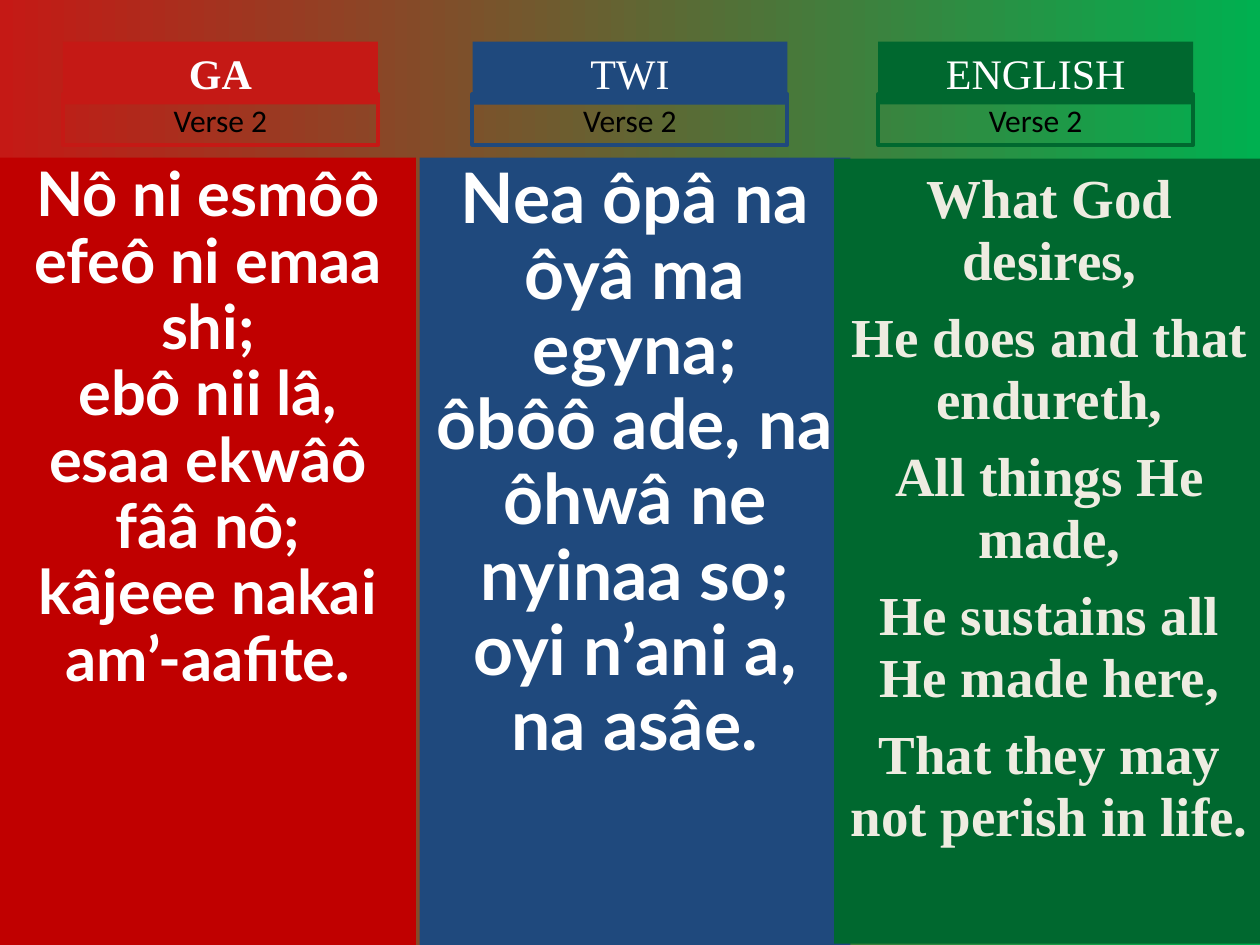
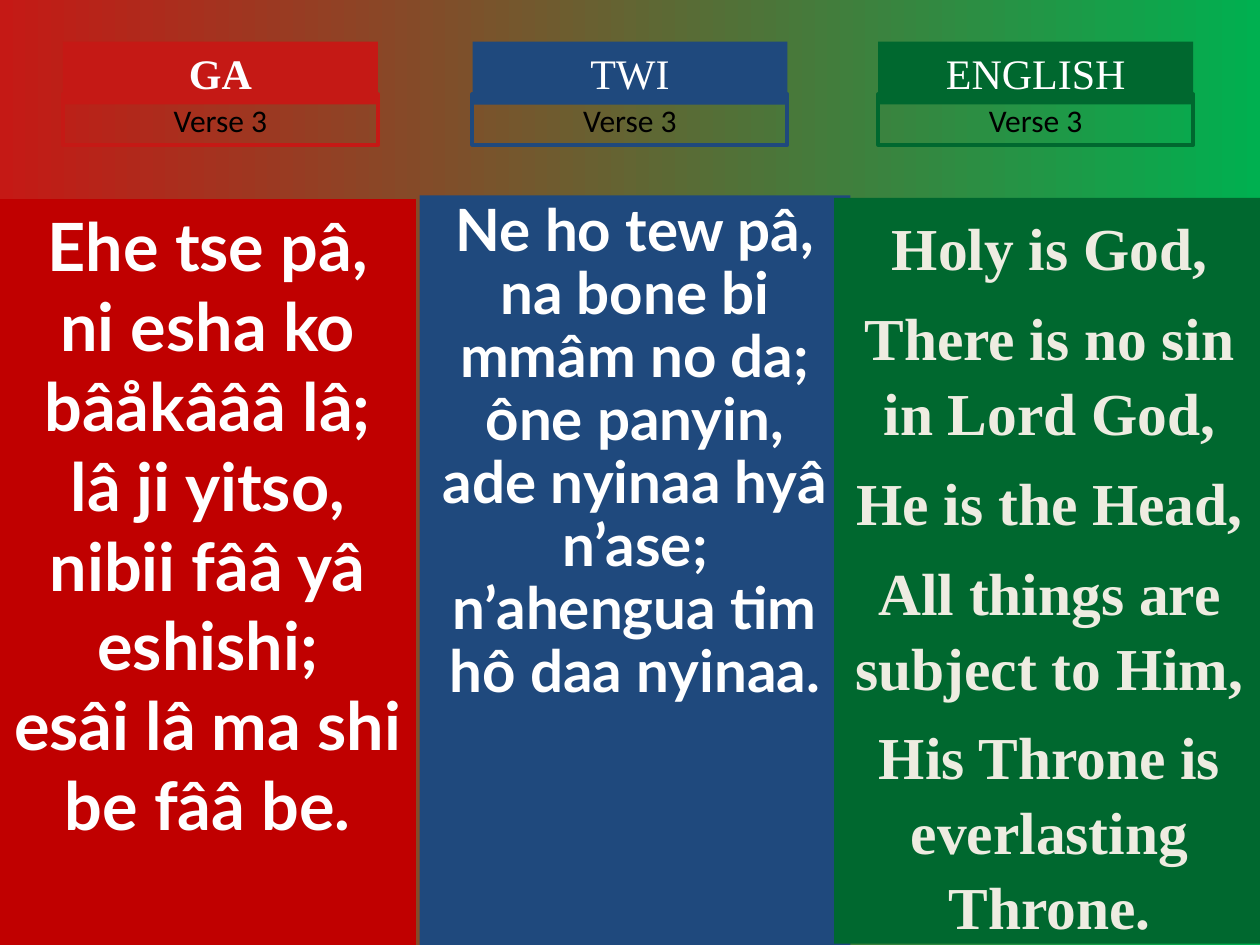
"""Build two hymn slides that set each verse in Ga, Twi and English side by side."""
import dataclasses

import pptx
import pptx.dml.color
import pptx.enum.shapes
import pptx.enum.text
import pptx.oxml.ns
import pptx.util


@dataclasses.dataclass(frozen=True)
class Theme:
    """Colours, fonts, type sizes and shared lengths."""
    backdrop: tuple = ("C51915", "00B050")
    white: str = "FFFFFF"
    black: str = "000000"
    cream: str = "EEECE1"
    heading_font: str = "Times New Roman"
    verse_font: str = "Calibri"
    lyric_font: str = "Lato"
    heading_size: float = 24
    verse_size: float = 18
    frame_width: float = 2.25
    heading_top: float = 0.33
    heading_height: float = 0.5
    verse_top: float = 0.75
    verse_height: float = 0.4
    label_width: float = 2.5
    inset: float = 0.05


THEME = Theme()
WIDTH, HEIGHT = 10, 7.5
COMPARISON_LAYOUT = 4

LANGUAGES = [
    dict(name="GA", bold=True, label="C51915", panel="C00000", label_left=0.5,
         left=0, width=3.3, bottom=HEIGHT, font=THEME.lyric_font,
         ink=THEME.white, gap=0, inset=THEME.inset),
    dict(name="TWI", bold=False, label="1F497D", panel="1F497D", label_left=3.75,
         left=3.33, width=3.42, bottom=HEIGHT, font=THEME.lyric_font,
         ink=THEME.white, gap=0, inset=THEME.inset),
    dict(name="ENGLISH", bold=False, label="00682F", panel="00682F", label_left=6.97,
         left=6.62, width=3.42, bottom=7.49, font=THEME.heading_font,
         ink=THEME.cream, gap=8.5, inset=0.08),
]

VERSES = [
    ("Verse 2", [
        dict(top=1.25, size=35.1, spacing=0.9, lines=[
            "Nô ni esmôô efeô ni emaa shi;",
            "ebô nii lâ, esaa ekwâô fââ nô;",
            "kâjeee nakai am’-aafite."]),
        dict(top=1.25, size=39.8, spacing=0.9, lines=[
            "Nea ôpâ na ôyâ ma egyna;",
            "ôbôô ade, na ôhwâ ne nyinaa so;",
            "oyi n’ani a, na asâe."]),
        dict(top=1.26, size=31.4, spacing=0.94, lines=[
            "What God desires,",
            "He does and that endureth,",
            "All things He made,",
            "He sustains all He made here,",
            "That they may not perish in life."]),
    ]),
    ("Verse 3", [
        dict(top=1.58, size=38, spacing=1.0, lines=[
            "Ehe tse pâ, ni esha ko bâåkâââ lâ;",
            "lâ ji yitso, nibii fââ yâ eshishi;",
            "esâi lâ ma shi be fââ be."]),
        dict(top=1.55, size=33.3, spacing=0.9, lines=[
            "Ne ho tew pâ, na bone bi mmâm no da;",
            "ône panyin, ade nyinaa hyâ n’ase;",
            "n’ahengua tim hô daa nyinaa."]),
        dict(top=1.57, size=34, spacing=1.05, lines=[
            "Holy is God,",
            "There is no sin in Lord God,",
            "He is the Head,",
            "All things are subject to Him,",
            "His Throne is everlasting Throne."]),
    ]),
]


def rgb(value):
    """Return a colour from its hex code."""
    return pptx.dml.color.RGBColor.from_string(value)


def place(part, left, top, width, height, fill=None, frame=None):
    """Position a part and paint its fill and frame."""
    part.left, part.top, part.width, part.height = map(
        pptx.util.Inches, (left, top, width, height))
    part.shadow.inherit = False
    if fill:
        part.fill.solid()
        part.fill.fore_color.rgb = rgb(fill)
    else:
        part.fill.background()
    if frame:
        part.line.color.rgb = rgb(frame)
        part.line.width = pptx.util.Pt(THEME.frame_width)
    else:
        part.line.fill.background()


def write(part, lines, font, size, ink, bold=False, spacing=1.0, gap=0, inset=THEME.inset):
    """Write centred, unbulleted lines from the top of a part."""
    frame = part.text_frame
    frame.word_wrap = True
    frame.auto_size = pptx.enum.text.MSO_AUTO_SIZE.NONE
    frame.vertical_anchor = pptx.enum.text.MSO_ANCHOR.TOP
    frame.margin_left = frame.margin_right = pptx.util.Inches(0.1)
    frame.margin_top = pptx.util.Inches(inset)
    frame.margin_bottom = pptx.util.Inches(THEME.inset)
    for number, line in enumerate(lines):
        paragraph = frame.add_paragraph() if number else frame.paragraphs[0]
        properties = paragraph._p.get_or_add_pPr()
        properties.set("marL", "0")
        properties.set("indent", "0")
        properties.append(properties.makeelement(pptx.oxml.ns.qn("a:buNone"), {}))
        paragraph.alignment = pptx.enum.text.PP_ALIGN.CENTER
        paragraph.line_spacing = spacing
        paragraph.space_before = pptx.util.Pt(gap if number else 0)
        run = paragraph.add_run()
        run.text = line
        run.font.name, run.font.size = font, pptx.util.Pt(size)
        run.font.bold = bold
        run.font.color.rgb = rgb(ink)


def add_rectangle(slide):
    """Add a plain rectangle to be placed later."""
    return slide.shapes.add_shape(pptx.enum.shapes.MSO_SHAPE.RECTANGLE, 0, 0, 0, 0)


def paint_backdrop(slide):
    """Fill the slide with the red to green gradient."""
    fill = slide.background.fill
    fill.gradient()
    fill.gradient_angle = 0
    for stop, position, colour in zip(fill.gradient_stops, (0, 1), THEME.backdrop):
        stop.position = position
        stop.color.rgb = rgb(colour)


def add_verse(deck, verse, lyrics):
    """Add one slide with a heading, verse label and lyric panel per language."""
    slide = deck.slides.add_slide(deck.slide_layouts[COMPARISON_LAYOUT])
    paint_backdrop(slide)
    title, *panels, spare = slide.placeholders
    spare.element.getparent().remove(spare.element)
    for language, lyric, panel in zip(LANGUAGES, lyrics, panels):
        place(panel, language["left"], lyric["top"], language["width"],
              language["bottom"] - lyric["top"], fill=language["panel"])
        write(panel, lyric["lines"], language["font"], lyric["size"], language["ink"],
              True, lyric["spacing"], language["gap"], language["inset"])

        heading = title if language["name"] == "TWI" else add_rectangle(slide)
        place(heading, language["label_left"], THEME.heading_top, THEME.label_width,
              THEME.heading_height, fill=language["label"])
        write(heading, [language["name"]], THEME.heading_font, THEME.heading_size,
              THEME.white, language["bold"])

        verse_label = add_rectangle(slide)
        place(verse_label, language["label_left"], THEME.verse_top, THEME.label_width,
              THEME.verse_height, frame=language["label"])
        write(verse_label, [verse], THEME.verse_font, THEME.verse_size, THEME.black)


def main():
    """Build and save the deck."""
    deck = pptx.Presentation()
    deck.slide_width = pptx.util.Inches(WIDTH)
    deck.slide_height = pptx.util.Inches(HEIGHT)
    for verse, lyrics in VERSES:
        add_verse(deck, verse, lyrics)
    deck.save("out.pptx")


if __name__ == "__main__":
    main()
